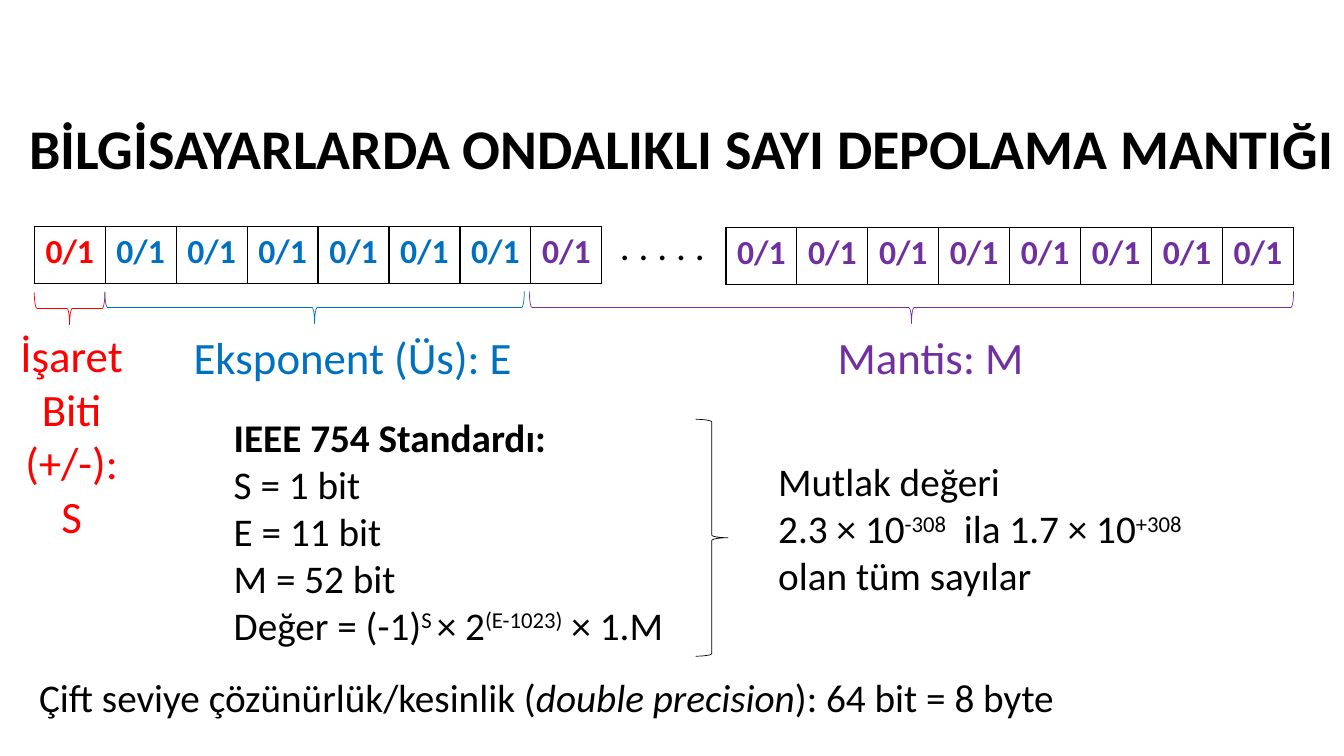
from lxml import etree
from pptx import Presentation
from pptx import util as u
from pptx.dml.color import RGBColor
from pptx.enum import shapes, text
from pptx.oxml.ns import qn

BLACK, RED, BLUE, PURPLE = "000000", "FF0000", "0070C0", "7030A0"
LEFT, CENTER = text.PP_ALIGN.LEFT, text.PP_ALIGN.CENTER


def rgb(value):
    return RGBColor.from_string(value)


def write(p, runs, size, color, align=LEFT, bold=False):
    p.alignment = align
    for content, extra in runs:
        r = p.add_run()
        r.text = content
        r.font.color.rgb = rgb(color)
        fmt = {"name": "Calibri", "size": u.Pt(size), "bold": bold, "italic": extra == "italic"}
        for key, value in fmt.items():
            setattr(r.font, key, value)
        if extra == "super":
            r.font._element.set("baseline", "30000")


prs = Presentation()
prs.slide_width, prs.slide_height = u.Inches(13.33), u.Inches(7.5)
s = prs.slides.add_slide(prs.slide_layouts[6])

bit_rows = [
    (0.34, 2.25, [RED] + [BLUE] * 6 + [PURPLE]),
    (7.2, 2.26, [PURPLE] * 8),
]
for x, y, colors in bit_rows:
    frame = s.shapes.add_table(1, len(colors), u.Inches(x), u.Inches(y), u.Inches(5.63), u.Inches(0.56))
    table = frame.table
    table.first_row = table.horz_banding = False
    for i, color in enumerate(colors):
        table.columns[i].width = u.Inches(5.63 / len(colors))
        cell = table.cell(0, i)
        write(cell.text_frame.paragraphs[0], [("0/1", "")], 24, color, CENTER, True)
        tcPr = cell._tc.get_or_add_tcPr()
        for side in ("a:lnL", "a:lnR", "a:lnT", "a:lnB"):
            ln = etree.SubElement(tcPr, qn(side), w=str(u.Pt(1)))
            fill = etree.SubElement(ln, qn("a:solidFill"))
            etree.SubElement(fill, qn("a:srgbClr"), val=BLACK)
        cell.fill.solid()
        cell.fill.fore_color.rgb = rgb("FFFFFF")

braces = [
    (6.9, 4.16, 2.35, 0, BLACK),
    (0.53, 2.71, 0.7, 90, RED),
    (2.96, 0.97, 4.16, 90, BLUE),
    (8.88, -0.74, 7.58, 90, PURPLE),
]
for x, y, length, rotation, color in braces:
    sp = s.shapes.add_shape(shapes.MSO_SHAPE.RIGHT_BRACE, u.Inches(x), u.Inches(y), u.Inches(0.32), u.Inches(length))
    sp.rotation = rotation
    sp.shadow.inherit = False
    sp.fill.background()
    sp.line.color.rgb = rgb(color)
    sp.line.width = u.Pt(0.5)

title = [[("BİLGİSAYARLARDA ONDALIKLI SAYI DEPOLAMA MANTIĞI", "")]]
standard = [
    [("IEEE 754 Standardı:", "")],
    [("S = 1 bit", "")],
    [("E = 11 bit", "")],
    [("M = 52 bit", "")],
    [("Değer = (-1)", ""), ("S ", "super"), ("× 2", ""), ("(E-1023)", "super"), (" × 1.M", "")],
]
value_range = [
    [("Mutlak değeri", "")],
    [("2.3 × 10", ""), ("-308", "super"), ("  ila 1.7 × 10", ""), ("+308", "super")],
    [("olan tüm sayılar", "")],
]
precision = [[("Çift seviye çözünürlük/kesinlik (", ""), ("double precision", "italic"), ("): 64 bit = 8 byte", "")]]

boxes = [
    (0.19, 1.08, 13.15, 0.77, False, title, 40, BLACK, LEFT, True),
    (2.22, 4.05, 6.07, 2.46, True, standard, 28, BLACK, LEFT, False),
    (6.05, 2.15, 1.15, 0.57, False, [[(". . . . .", "")]], 28, BLACK, LEFT, False),
    (0.1, 3.2, 1.22, 2.26, True, [[("İşaret Biti (+/-): S", "")]], 32, RED, CENTER, False),
    (8.11, 3.22, 2.24, 0.64, True, [[("Mantis: M", "")]], 32, PURPLE, CENTER, False),
    (1.77, 3.22, 3.46, 0.64, True, [[("Eksponent (Üs): E", "")]], 32, BLUE, CENTER, False),
    (7.62, 4.49, 5.21, 1.51, True, value_range, 28, BLACK, LEFT, False),
    (0.29, 6.63, 10.76, 0.89, True, precision, 28, BLACK, LEFT, False),
]
for x, y, w, h, wrap, lines, size, color, align, bold in boxes:
    tf = s.shapes.add_textbox(u.Inches(x), u.Inches(y), u.Inches(w), u.Inches(h)).text_frame
    tf.word_wrap = wrap
    tf.auto_size = text.MSO_AUTO_SIZE.SHAPE_TO_FIT_TEXT
    for i, runs in enumerate(lines):
        p = tf.add_paragraph() if i else tf.paragraphs[0]
        write(p, runs, size, color, align, bold or (lines is standard and i == 0))

prs.save("out.pptx")
